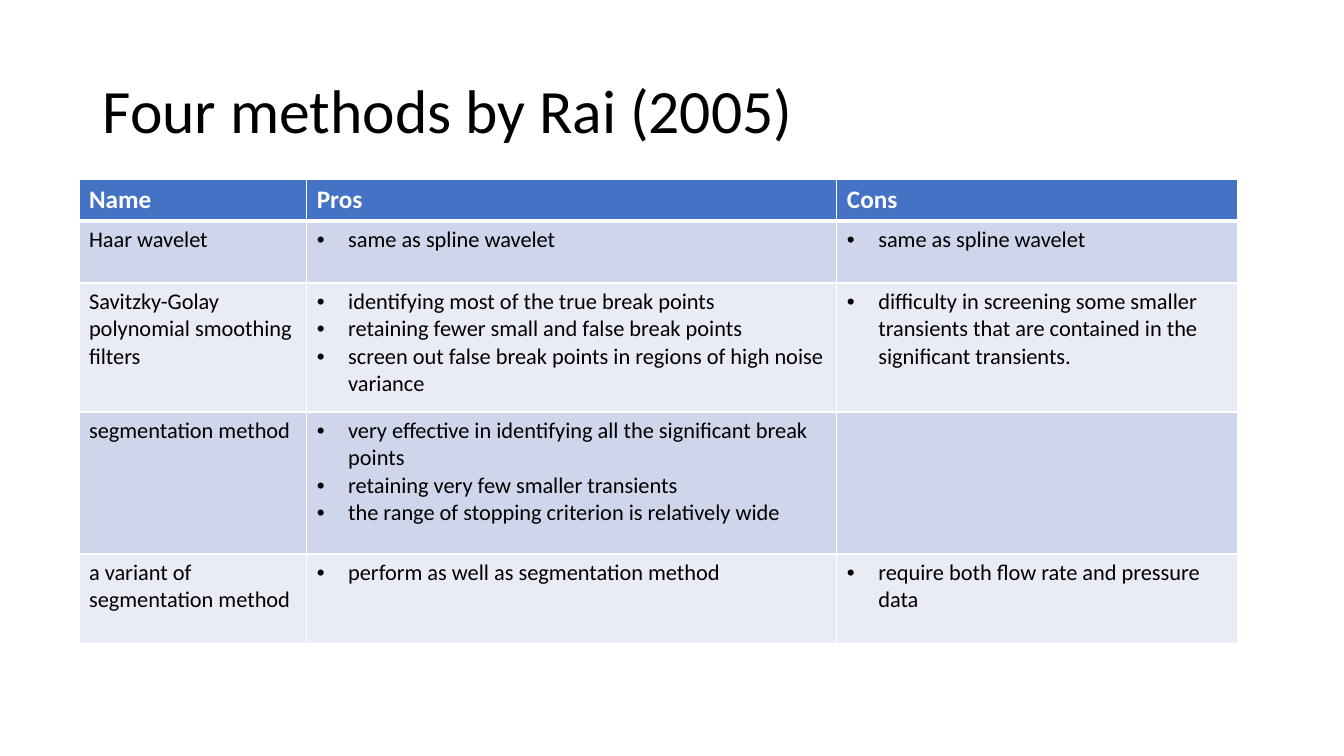
"""Build a slide comparing four methods by their pros and cons."""
from lxml import etree
from pptx import Presentation
from pptx.dml.color import RGBColor
from pptx.enum import text
from pptx.oxml import ns
from pptx.util import Cm, Pt

TITLE = "Four methods by Rai (2005)"
HEADINGS = ("Name", "Pros", "Cons")
METHODS = [
    ("Haar wavelet", ["same as spline wavelet"], ["same as spline wavelet"]),
    (
        "Savitzky-Golay polynomial smoothing filters",
        [
            "identifying most of the true break points",
            "retaining fewer small and false break points",
            "screen out false break points in regions of high noise variance",
        ],
        [
            "difficulty in screening some smaller transients that are "
            "contained in the significant transients."
        ],
    ),
    (
        "segmentation method",
        [
            "very effective in identifying all the significant break points",
            "retaining very few smaller transients",
            "the range of stopping criterion is relatively wide",
        ],
        [],
    ),
    (
        "a variant of segmentation method",
        ["perform as well as segmentation method"],
        ["require both flow rate and pressure data"],
    ),
]
COLUMN_WIDTHS = (5.74, 13.36, 10.11)
ROW_HEIGHTS = (1.02, 1.57, 3.25, 3.58, 2.26)

BLACK = RGBColor(0x00, 0x00, 0x00)
WHITE = RGBColor(0xFF, 0xFF, 0xFF)
BLUE = RGBColor(0x44, 0x72, 0xC4)
BANDS = (RGBColor(0xCF, 0xD5, 0xEA), RGBColor(0xE9, 0xEB, 0xF5))
FONT = "Calibri"
BULLET_INDENT = Cm(0.79)


def write(frame, lines, size=16, color=BLACK, bold=False, bullets=False, spacing=None):
    """Fill a text frame with one formatted paragraph per line."""
    for index, line in enumerate(lines):
        paragraph = frame.paragraphs[0] if index == 0 else frame.add_paragraph()
        paragraph.alignment = text.PP_ALIGN.LEFT
        if spacing:
            paragraph.line_spacing = spacing
        run = paragraph.add_run()
        run.text = line
        run.font.name = FONT
        run.font.size = Pt(size)
        run.font.bold = bold
        run.font.color.rgb = color
        if bullets:
            properties = paragraph._p.get_or_add_pPr()
            properties.set("marL", str(BULLET_INDENT))
            properties.set("indent", str(-BULLET_INDENT))
            etree.SubElement(properties, ns.qn("a:buFont")).set("typeface", "Arial")
            etree.SubElement(properties, ns.qn("a:buChar")).set("char", "•")


def paint(cell, fill, top=1, bottom=1):
    """Give a cell white borders and a solid fill."""
    properties = cell._tc.get_or_add_tcPr()
    for side, width in (("L", 1), ("R", 1), ("T", top), ("B", bottom)):
        border = etree.SubElement(properties, ns.qn(f"a:ln{side}"), w=str(Pt(width)))
        solid = etree.SubElement(border, ns.qn("a:solidFill"))
        etree.SubElement(solid, ns.qn("a:srgbClr"), val=str(WHITE))
    cell.fill.solid()
    cell.fill.fore_color.rgb = fill


def add_title(slide):
    """Place and write the slide title."""
    title = slide.shapes.title
    title.left, title.top = Cm(2.33), Cm(1.01)
    title.width, title.height = Cm(29.21), Cm(3.68)
    frame = title.text_frame
    frame.auto_size = text.MSO_AUTO_SIZE.NONE
    frame.vertical_anchor = text.MSO_ANCHOR.MIDDLE
    write(frame, [TITLE], size=44, spacing=0.9)


def add_comparison(slide):
    """Add the table of methods."""
    comparison = slide.shapes.add_table(
        len(METHODS) + 1, len(HEADINGS), Cm(1.99), Cm(4.53),
        Cm(sum(COLUMN_WIDTHS)), Cm(sum(ROW_HEIGHTS)),
    ).table
    for column, width in zip(comparison.columns, COLUMN_WIDTHS):
        column.width = Cm(width)
    for row, height in zip(comparison.rows, ROW_HEIGHTS):
        row.height = Cm(height)

    for column, heading in enumerate(HEADINGS):
        cell = comparison.cell(0, column)
        paint(cell, BLUE, bottom=3)
        write(cell.text_frame, [heading], size=18, color=WHITE, bold=True)

    for row, (name, pros, cons) in enumerate(METHODS, start=1):
        for column, lines in enumerate(([name], pros, cons)):
            cell = comparison.cell(row, column)
            paint(cell, BANDS[(row - 1) % 2], top=3 if row == 1 else 1)
            write(cell.text_frame, lines, bullets=column > 0)


def main():
    """Create and save the presentation."""
    deck = Presentation()
    deck.slide_width, deck.slide_height = Cm(33.87), Cm(19.05)
    slide = deck.slides.add_slide(deck.slide_layouts[5])
    add_title(slide)
    add_comparison(slide)
    deck.save("out.pptx")


if __name__ == "__main__":
    main()
